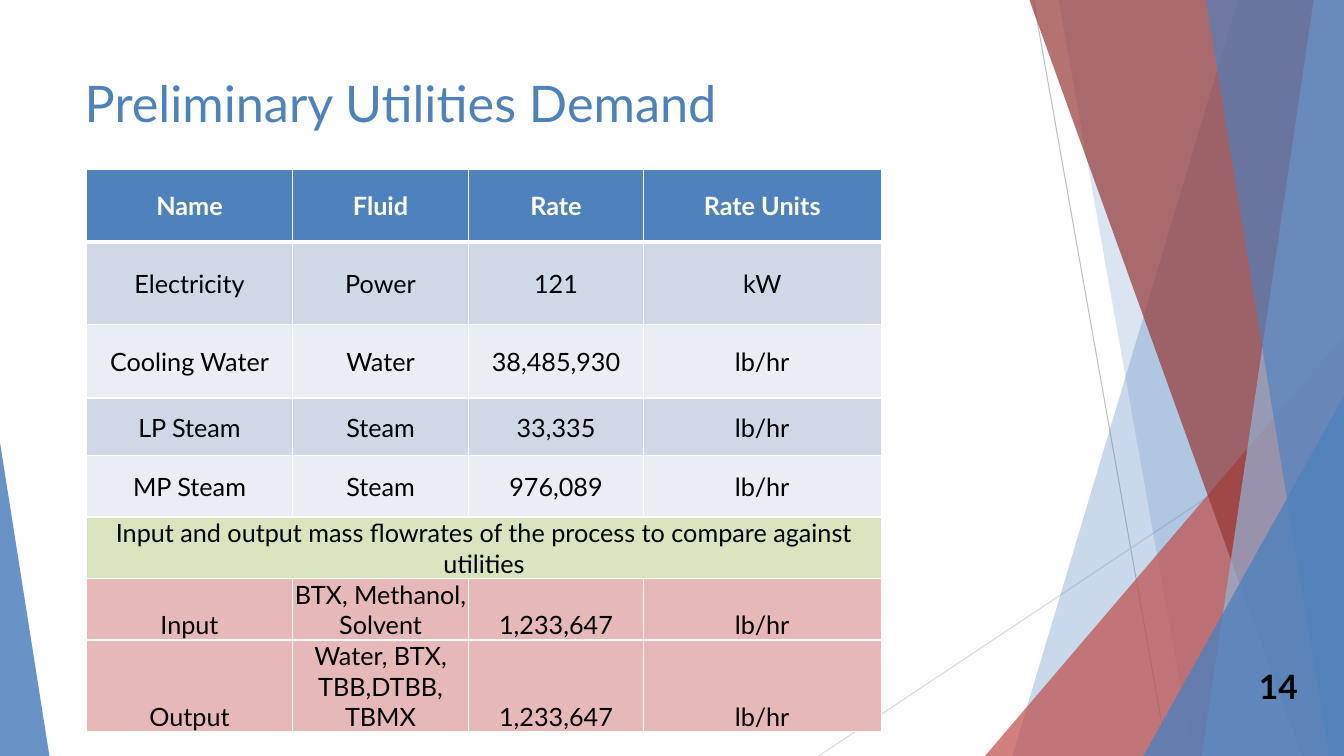
from dataclasses import dataclass

from lxml import etree
from pptx import Presentation
from pptx import util as u
from pptx.dml.color import RGBColor
from pptx.enum import shapes, text
from pptx.oxml import ns

Inches, Pt = u.Inches, u.Pt


@dataclass(frozen=True)
class Theme:
    font: str = "Lato"
    title_size: int = 36
    number_size: int = 24
    table_size: int = 18
    white: str = "FFFFFF"
    black: str = "000000"
    blue: str = "4F81BD"
    light_blue: str = "95B3D7"
    red: str = "C0504D"
    dark_red: str = "953735"
    thin_lines: tuple = ("BFBFBF", "D9D9D9")
    bands: tuple = ("D0D8E8", "E9EDF4")
    note: str = "D7E4BD"
    flow: str = "E6B9B8"


THEME = Theme()
WIDTH, HEIGHT = 13.33, 7.5

COLUMN_WIDTHS = [2.04, 1.75, 1.73, 2.36]
ROW_HEIGHTS = [0.72, 0.82, 0.73, 0.57, 0.61, 0.6, 0.6, 0.9]
HEADER = ["Name", "Fluid", "Rate", "Rate Units"]
UTILITIES = [
    ["Electricity", "Power", "121", "kW"],
    ["Cooling Water", "Water", "38,485,930", "lb/hr"],
    ["LP Steam", "Steam", "33,335", "lb/hr"],
    ["MP Steam", "Steam", "976,089", "lb/hr"],
]
NOTE = "Input and output mass flowrates of the process to compare against utilities"
FLOWS = [
    ["Input", "BTX, Methanol,\nSolvent", "1,233,647", "lb/hr"],
    ["Output", "Water, BTX, TBB,DTBB,\nTBMX", "1,233,647", "lb/hr"],
]


def style_text(frame, size, color, align, anchor, bold=False):
    frame.word_wrap = True
    frame.vertical_anchor = anchor
    for paragraph in frame.paragraphs:
        paragraph.alignment = align
        paragraph.font.name = THEME.font
        paragraph.font.size = Pt(size)
        paragraph.font.bold = bold
        paragraph.font.color.rgb = RGBColor.from_string(color)


def paint(shape, color, opacity):
    """Fill a shape with a see-through colour, without outline or shadow."""
    shape.shadow.inherit = False
    shape.line.fill.background()
    shape.fill.solid()
    shape.fill.fore_color.rgb = RGBColor.from_string(color)
    srgb = shape.fill._xPr.find(".//" + ns.qn("a:srgbClr"))
    etree.SubElement(srgb, ns.qn("a:alpha"), val=str(opacity * 1000))


def add_thin_line(group, start, end, color):
    line = group.shapes.add_connector(
        shapes.MSO_CONNECTOR.STRAIGHT, *map(Inches, start + end))
    line.line.color.rgb = RGBColor.from_string(color)
    line.line.width = Pt(0.75)
    etree.SubElement(line._element.spPr, ns.qn("a:effectLst"))


def add_band(group, top_x, bottom_x, color, opacity):
    """Fill everything right of a slanted edge that crosses the slide."""
    corners = [(WIDTH, 0), (WIDTH, HEIGHT), (bottom_x, HEIGHT)]
    builder = group.shapes.build_freeform(Inches(top_x), 0)
    builder.add_line_segments([(Inches(x), Inches(y)) for x, y in corners], close=True)
    paint(builder.convert_to_shape(), color, opacity)


def add_corner(group, left, top, width, apex, color, opacity):
    """Add a triangle standing on the bottom edge of the slide."""
    triangle = group.shapes.add_shape(
        shapes.MSO_SHAPE.ISOSCELES_TRIANGLE,
        *map(Inches, (left, top, width, HEIGHT - top)))
    triangle.adjustments[0] = apex
    paint(triangle, color, opacity)


def add_backdrop(slide):
    group = slide.shapes.add_group_shape()
    add_thin_line(group, (10.25, 0), (11.58, HEIGHT), THEME.thin_lines[0])
    add_thin_line(group, (WIDTH, 4.03), (8.12, HEIGHT), THEME.thin_lines[1])
    add_band(group, 12.28, 10.04, THEME.blue, 30)
    add_band(group, 10.5, 11.83, THEME.blue, 20)
    add_corner(group, 9.77, 3.33, 3.56, 1, THEME.red, 72)
    add_band(group, 10.21, 12.91, THEME.dark_red, 70)
    add_band(group, 13.03, 11.92, THEME.light_blue, 70)
    add_band(group, 11.96, 13.18, THEME.blue, 65)
    add_corner(group, 11.34, 3.93, 1.99, 1, THEME.blue, 80)
    add_corner(group, 0, 4.39, 0.49, 0, THEME.blue, 85)


def set_title(slide, wording, left, top, width, height):
    title = slide.shapes.title
    title.left, title.top, title.width, title.height = map(
        Inches, (left, top, width, height))
    title.text_frame.text = wording
    style_text(title.text_frame, THEME.title_size, THEME.blue,
               text.PP_ALIGN.LEFT, text.MSO_ANCHOR.TOP)


def add_slide_number(slide, number, left, top, width, height):
    box = slide.shapes.add_textbox(*map(Inches, (left, top, width, height)))
    box.text_frame.text = str(number)
    style_text(box.text_frame, THEME.number_size, THEME.black,
               text.PP_ALIGN.RIGHT, text.MSO_ANCHOR.MIDDLE, bold=True)


def add_borders(cell, bottom_width):
    properties = cell._tc.get_or_add_tcPr()
    for side in "LRTB":
        width = bottom_width if side == "B" else 1
        line = etree.SubElement(properties, ns.qn("a:ln" + side), w=str(Pt(width)))
        fill = etree.SubElement(line, ns.qn("a:solidFill"))
        etree.SubElement(fill, ns.qn("a:srgbClr"), val=THEME.white)


def fill_row(row, wordings, color, anchor, header=False):
    for cell, wording in zip(row.cells, wordings):
        add_borders(cell, 3 if header else 1)
        cell.fill.solid()
        cell.fill.fore_color.rgb = RGBColor.from_string(color)
        cell.margin_left = cell.margin_right = cell.margin_top = Inches(0.01)
        cell.margin_bottom = 0
        cell.vertical_anchor = anchor
        cell.text_frame.text = wording
        style_text(cell.text_frame, THEME.table_size,
                   THEME.white if header else THEME.black,
                   text.PP_ALIGN.CENTER, anchor, bold=header)


def add_utilities_table(slide, left, top):
    table = slide.shapes.add_table(
        len(ROW_HEIGHTS), len(COLUMN_WIDTHS), Inches(left), Inches(top),
        Inches(sum(COLUMN_WIDTHS)), Inches(sum(ROW_HEIGHTS))).table
    for column, width in zip(table.columns, COLUMN_WIDTHS):
        column.width = Inches(width)
    for row, height in zip(table.rows, ROW_HEIGHTS):
        row.height = Inches(height)

    middle, bottom = text.MSO_ANCHOR.MIDDLE, text.MSO_ANCHOR.BOTTOM
    rows = iter(table.rows)
    fill_row(next(rows), HEADER, THEME.blue, middle, header=True)
    for index, utility in enumerate(UTILITIES):
        fill_row(next(rows), utility, THEME.bands[index % 2], middle)
    note_row = next(rows)
    note_row.cells[0].merge(note_row.cells[len(COLUMN_WIDTHS) - 1])
    fill_row(note_row, [NOTE, "", "", ""], THEME.note, bottom)
    for flow in FLOWS:
        fill_row(next(rows), flow, THEME.flow, bottom)


def main():
    presentation = Presentation()
    presentation.slide_width, presentation.slide_height = Inches(WIDTH), Inches(HEIGHT)
    slide = presentation.slides.add_slide(
        presentation.slide_layouts.get_by_name("Title Only"))
    add_backdrop(slide)
    set_title(slide, "Preliminary Utilities Demand", 0.74, 0.67, 9.4, 1.44)
    add_slide_number(slide, 14, 12.22, 6.61, 0.75, 0.4)
    add_utilities_table(slide, 0.86, 1.68)
    presentation.save("out.pptx")


if __name__ == "__main__":
    main()
